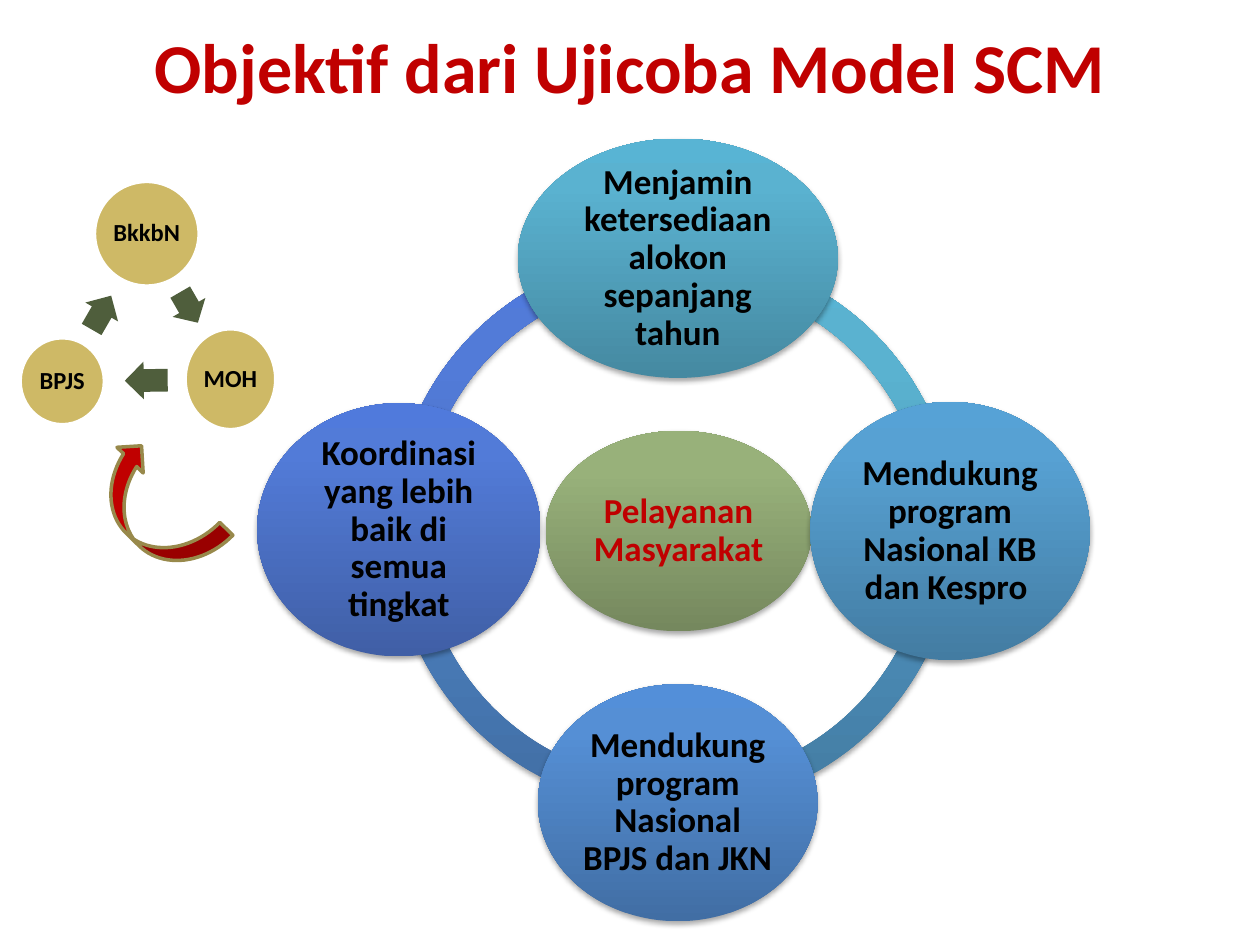
from copy import deepcopy

from lxml.etree import SubElement
from pptx import Presentation
from pptx.dml.color import RGBColor
from pptx.enum.shapes import MSO_SHAPE
from pptx.enum.text import MSO_ANCHOR, PP_ALIGN
from pptx.oxml.ns import qn
from pptx.util import Pt

COLORS = {
    "red": "C00000", "black": "000000", "white": "FFFFFF",
    "gold": "CEB966", "olive": "4F5E3C", "bronze": "98894B",
}
GRADIENTS = {
    "indigo": ("405FA6", "527BD8", "507ADC"),
    "blue": ("416EA4", "558FD5", "538FD9"),
    "sky": ("437CA2", "57A1D3", "56A2D6"),
    "teal": ("4589A1", "5AB2D0", "58B4D4"),
    "green": ("75885E", "98B17A", "99B379"),
}
RING = [
    ("indigo", 223.9, 108.18, 162.93),
    ("blue", 223.9, 53.07, 108.2),
    ("sky", 228.2, 0, 54),
    ("teal", 228.2, 162, 0),
]
GOALS = [
    ("Pelayanan Masyarakat", "green", "red", (311.8, 246.2, 151.9, 114.5)),
    ("Menjamin ketersediaan alokon sepanjang tahun", "teal", "black", (295.9, 79.2, 182.9, 136.8)),
    ("Mendukung program Nasional KB dan Kespro ", "sky", "black", (463, 229.7, 159.8, 147.6)),
    ("Mendukung program Nasional BPJS dan JKN", "blue", "black", (307.4, 391, 159.8, 135.4)),
    ("Koordinasi yang lebih baik di semua tingkat", "indigo", "black", (146.9, 230.4, 162, 144.7)),
]
AGENCIES = [
    ("BkkbN", (54, 103.7, 59.8, 59.8)),
    ("MOH", (105.8, 187.9, 51.8, 57.6)),
    ("BPJS", (11.5, 193, 48.2, 49.7)),
]
CYCLE_ARROWS = [
    (60, (97.9, 164.9, 20.2, 21.6)),
    (179.2, (71.3, 206.6, 24.5, 21.6)),
    (300, (46.8, 167.8, 22.3, 21.6)),
]


class SlideBuilder:
    """Hold the style and the current slide, and add each kind of element."""

    font_name = "Calibri"

    def __init__(self, page):
        self.page = page

    def color(self, name):
        return RGBColor.from_string(COLORS[name])

    def label(self, frame, text, size, color, inset):
        frame.word_wrap = True
        frame.vertical_anchor = MSO_ANCHOR.MIDDLE
        frame.margin_left = frame.margin_right = Pt(inset)
        frame.margin_top = frame.margin_bottom = Pt(inset)
        para = frame.paragraphs[0]
        para.alignment = PP_ALIGN.CENTER
        para.line_spacing = 0.9
        span = para.add_run()
        span.text = text
        span.font.name = self.font_name
        span.font.size = Pt(size)
        span.font.bold = True
        span.font.color.rgb = self.color(color)

    def title(self, text, place):
        box = self.page.shapes.title
        box.left, box.top, box.width, box.height = map(Pt, place)
        self.label(box.text_frame, text, 40, "red", 3.6)

    def shape(self, kind, place, rotation=0, adjustments=()):
        shape = self.page.shapes.add_shape(kind, *map(Pt, place))
        shape.shadow.inherit = False
        shape.line.fill.background()
        shape.rotation = rotation
        for index, value in enumerate(adjustments):
            shape.adjustments[index] = value
        return shape

    def solid(self, shape, fill, line=None):
        shape.fill.solid()
        shape.fill.fore_color.rgb = self.color(fill)
        if line:
            shape.line.color.rgb = self.color(line)
            shape.line.width = Pt(2)

    def glossy(self, shape, gradient):
        shape.fill.gradient()
        shape.fill.gradient_angle = 90
        properties = shape.element.spPr
        stop_list = properties.find(qn("a:gradFill")).find(qn("a:gsLst"))
        stop_list.append(deepcopy(stop_list[0]))
        for stop, position, color in zip(shape.fill.gradient_stops, (0, 0.8, 1), GRADIENTS[gradient]):
            stop.position = position
            stop.color.rgb = RGBColor.from_string(color)
        effects = properties.find(qn("a:effectLst"))
        shadow = SubElement(effects, qn("a:outerShdw"), blurRad=str(Pt(3.1)),
                            dist=str(Pt(1.8)), dir="5400000", rotWithShape="0")
        tint = SubElement(shadow, qn("a:srgbClr"), val=COLORS["black"])
        SubElement(tint, qn("a:alpha"), val="35000")

    def ring_part(self, gradient, left, start, end):
        place = (left, 144, 318.2, 318.2)
        self.glossy(self.shape(MSO_SHAPE.BLOCK_ARC, place, 0, (start, end, 0.05)), gradient)

    def goal(self, text, gradient, color, place):
        oval = self.shape(MSO_SHAPE.OVAL, place)
        self.glossy(oval, gradient)
        self.label(oval.text_frame, text, 20, color, 2)

    def agency(self, text, place):
        oval = self.shape(MSO_SHAPE.OVAL, place)
        self.solid(oval, "gold", "white")
        self.label(oval.text_frame, text, 14, "black", 1)

    def cycle_arrow(self, rotation, place):
        self.solid(self.shape(MSO_SHAPE.RIGHT_ARROW, place, rotation, (0.6, 0.5)), "olive")

    def curved_arrow(self, rotation, place):
        self.solid(self.shape(MSO_SHAPE.CURVED_LEFT_ARROW, place, rotation), "red", "bronze")


def main():
    deck = Presentation()
    deck.slide_width, deck.slide_height = Pt(720), Pt(540)
    builder = SlideBuilder(deck.slides.add_slide(deck.slide_layouts[5]))
    builder.title("Objektif dari Ujicoba Model SCM", (36, 12.2, 648, 56.2))
    for part in RING:
        builder.ring_part(*part)
    for goal in GOALS:
        builder.goal(*goal)
    for agency in AGENCIES:
        builder.agency(*agency)
    for arrow in CYCLE_ARROWS:
        builder.cycle_arrow(*arrow)
    builder.curved_arrow(134.4, (67.7, 249.8, 41.8, 83.5))
    deck.save("out.pptx")


if __name__ == "__main__":
    main()
